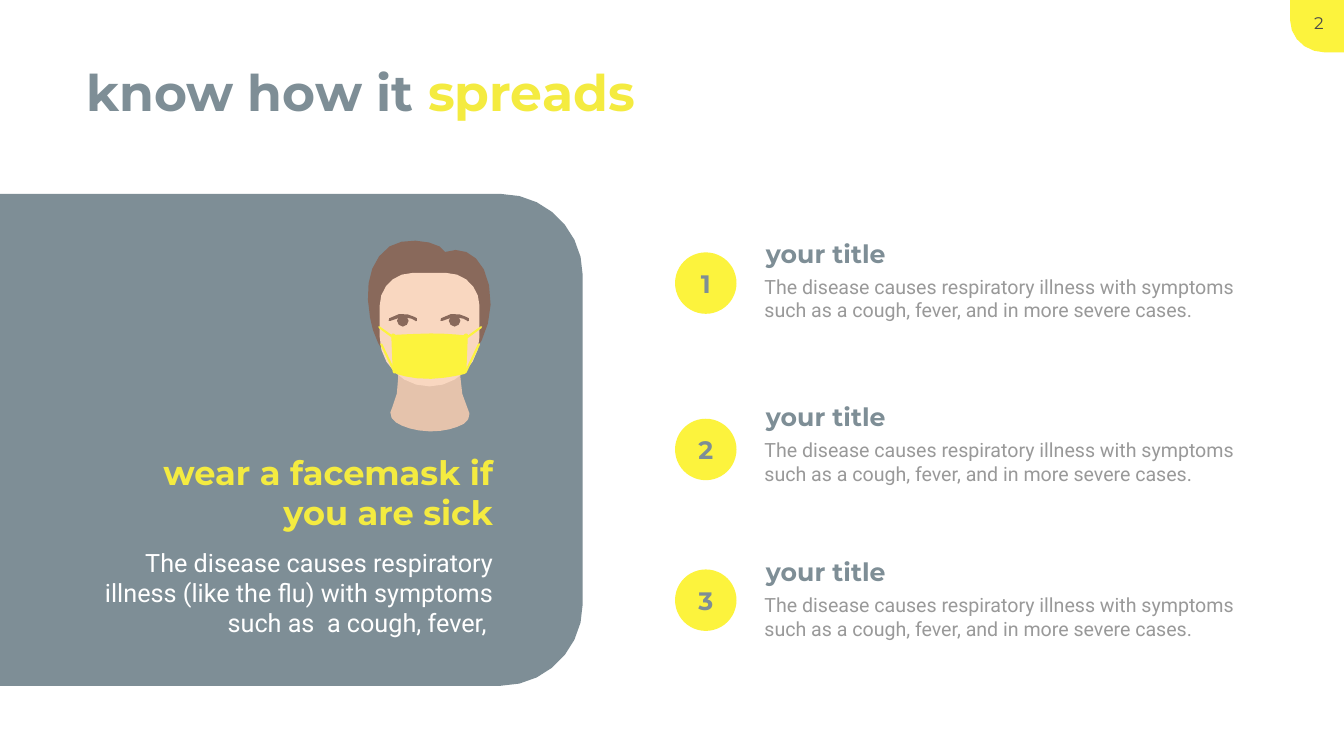
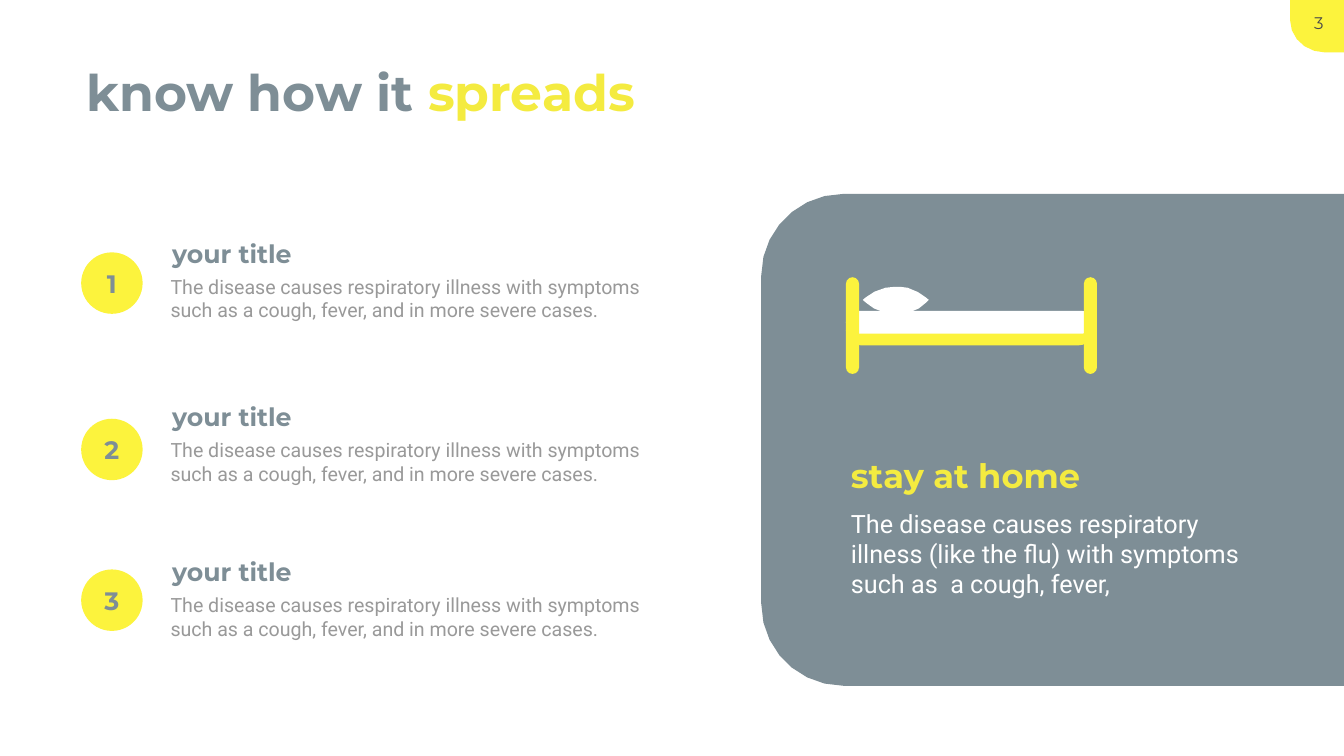
"""Build two slides on how a disease spreads, each with a rounded panel and a numbered list."""
from dataclasses import dataclass
from math import dist, sqrt

from pptx import Presentation
from pptx.dml.color import RGBColor
from pptx.enum.shapes import MSO_SHAPE
from pptx.enum.text import MSO_ANCHOR, MSO_AUTO_SIZE, PP_ALIGN
from pptx.util import Pt


@dataclass(frozen=True)
class Theme:
    yellow: str = "FCF33D"
    accent: str = "F4EB40"
    slate: str = "7E8E96"
    white: str = "FFFFFF"
    grey: str = "999999"
    dark: str = "494949"
    hair: str = "89695B"
    skin: str = "F9D7C0"
    neck: str = "E5C3AC"
    heading_font: str = "Montserrat"
    body_font: str = "Roboto"
    title_size: int = 72
    panel_size: int = 48
    text_size: int = 36
    item_size: int = 28
    number_size: int = 24


theme = Theme()


def write(page, frame, lines, size, colour, font=theme.heading_font, bold=True,
          align=PP_ALIGN.LEFT, oval=False):
    """Add a text box, or a filled oval holding text, and return it."""
    area = [Pt(length) for length in frame]
    if oval:
        box = page.shapes.add_shape(MSO_SHAPE.OVAL, *area)
        box.shadow.inherit = False
        box.fill.solid()
        box.fill.fore_color.rgb = RGBColor.from_string(theme.yellow)
        box.line.fill.background()
        box.text_frame.vertical_anchor = MSO_ANCHOR.MIDDLE
    else:
        box = page.shapes.add_textbox(*area)
        box.text_frame.auto_size = MSO_AUTO_SIZE.SHAPE_TO_FIT_TEXT
    box.text_frame.word_wrap = not oval
    for index, line in enumerate(lines):
        para = box.text_frame.add_paragraph() if index else box.text_frame.paragraphs[0]
        para.alignment = align
        para.font.size = Pt(size)
        para.font.name = font
        para.font.bold = bold
        para.font.color.rgb = RGBColor.from_string(colour)
        para.add_run().text = line
    return box


def draw(page, colour, origin, outline, flip=1):
    """Fill a closed outline whose segments are lines (2 numbers) or cubic curves (6)."""
    points = [outline[0]]
    for segment in outline[1:]:
        if len(segment) == 2:
            points.append(segment)
            continue
        start, first, second, end = points[-1], segment[:2], segment[2:4], segment[4:]
        length = dist(start, first) + dist(first, second) + dist(second, end)
        steps = max(1, round(sqrt(length) / 2))
        for step in range(1, steps + 1):
            t = step / steps
            weights = ((1 - t) ** 3, 3 * t * (1 - t) ** 2, 3 * t ** 2 * (1 - t), t ** 3)
            points.append(tuple(
                sum(weight * point[axis]
                    for weight, point in zip(weights, (start, first, second, end)))
                for axis in (0, 1)))
    placed = [(Pt(origin[0] + flip * x), Pt(origin[1] + y)) for x, y in points]
    builder = page.shapes.build_freeform(*placed[0])
    builder.add_line_segments(placed[1:], close=True)
    shape = builder.convert_to_shape()
    shape.shadow.inherit = False
    shape.fill.solid()
    shape.fill.fore_color.rgb = RGBColor.from_string(colour)
    shape.line.fill.background()


WIDTH, HEIGHT = 1919.52, 1080
ADVICE = "The disease causes respiratory illness (like the flu) with symptoms such as  a cough, fever,"
ITEM_TEXT = ("The disease causes respiratory illness with symptoms such as a cough, fever, "
             "and in more severe cases.")
TAB = [(-77, 0), (0, 0), (0, 75), (-26.6, 75), (-54.7, 75, -77, 54, -77, 28.8)]
PANEL = [(715, 0), (0, 0), (0, 702.7), (715, 702.7),
         (779.8, 702.7, 832.3, 650.2, 832.3, 585.4), (832.3, 116.6),
         (832.3, 52.6, 779.8, 0, 715, 0)]
ITEM_ROWS = [(336.2, 360.5), (569.5, 598.2), (791.3, 813.5)]

deck = Presentation()
deck.slide_width, deck.slide_height = Pt(WIDTH), Pt(HEIGHT)

layouts = [
    dict(number=2, panel_edge=0, flip=1, list_left=964.1, align=PP_ALIGN.RIGHT,
         heading=["wear a facemask if ", "you are sick"], advice=ADVICE + " ",
         heading_frame=(218.2, 641.5, 493.2, 123.8), advice_frame=(115.9, 778.3, 595.4, 138.2)),
    dict(number=3, panel_edge=WIDTH, flip=-1, list_left=115.9, align=PP_ALIGN.LEFT,
         heading=["stay at home"], advice=ADVICE,
         heading_frame=(1208.2, 646.9, 595.4, 65.5), advice_frame=(1208.2, 722.6, 595.4, 138.2)),
]

pages = []
for layout in layouts:
    page = deck.slides.add_slide(deck.slide_layouts[6])
    pages.append(page)
    draw(page, theme.yellow, (WIDTH, 0), TAB)
    number = write(page, (1853.3, 11.5, 74.2, 43.9), [str(layout["number"])],
                   theme.number_size, theme.dark, bold=False, align=PP_ALIGN.CENTER)
    number.text_frame.margin_left, number.text_frame.margin_right = Pt(14.4), Pt(28)
    number.text_frame.margin_top = number.text_frame.margin_bottom = Pt(7.2)

    title = write(page, (115.9, 84.2, 809.3, 94.3), ["know how it "],
                  theme.title_size, theme.slate)
    title.text_frame.word_wrap = False
    span = title.text_frame.paragraphs[0].add_run()
    span.text = "spreads"
    span.font.color.rgb = RGBColor.from_string(theme.accent)

    draw(page, theme.slate, (layout["panel_edge"], 277), PANEL, layout["flip"])
    write(page, layout["heading_frame"], layout["heading"], theme.panel_size, theme.accent,
          align=layout["align"])
    write(page, layout["advice_frame"], [layout["advice"]], theme.text_size, theme.white,
          theme.body_font, False, layout["align"])

    left = layout["list_left"]
    for position, (title_top, circle_top) in enumerate(ITEM_ROWS, 1):
        write(page, (left + 122.8, title_top, 385.2, 51.1), ["your title"],
              theme.text_size, theme.slate)
        write(page, (left + 120.6, title_top + 52.6, 719.3, 74.9), [ITEM_TEXT],
              theme.item_size, theme.grey, theme.body_font, False)
        write(page, (left, circle_top, 87.8, 87.8), [str(position)], theme.text_size,
              theme.slate, align=PP_ALIGN.CENTER, oval=True)

mask_page, bed_page = pages

NECK = [(-53.3, 246), (-40.3, 225, -46, 176, -46, 176), (44.6, 176),
        (44.6, 176, 40.3, 225.6, 54, 246.5), (59.8, 254.4, 57, 264.5, 49, 269.5),
        (36.7, 276, 21.6, 280.3, 0.7, 280.3), (-22.3, 279.6, -38.2, 273.8, -48.2, 267.3),
        (-56.2, 262.3, -58.3, 252.2, -53.3, 246)]
HAIR = [(-11.5, 201), (9.4, 201), (53.3, 201, 98, 137.7, 85, 71.5),
        (76.3, 27.6, 46.8, 14.6, 22.3, 24), (17.3, 9.6, -33, 0.2, -57, 16),
        (-86.4, 36.2, -93, 74.4, -85, 117.6), (-80, 150.7, -55.4, 201, -11.5, 201)]
FACE = [(-25, 54), (24.5, 54), (50.4, 54, 71.3, 75, 71.3, 101), (71.3, 145),
        (71.3, 184, 39, 216, 0, 216), (-39.6, 216, -71.3, 184, -71.3, 145),
        (-71.3, 101), (-71.3, 75, -51, 54, -25, 54)]
BROW = [(18.7, 0.7), (20.2, 0), (20.9, -2, 20.9, -3, 20.2, -3.6),
        (19.4, -3.6, 0, -18, -19.4, -3.6), (-20.2, -2.9, -20.2, -2, -20.2, 0),
        (-19.4, 0.7, -18, 0.7, -17.3, 0), (0, -13, 18, 0, 18, 0)]
PUPIL = [(-8.3, 0), (-8.3, 4, -4.3, 8.3, 0, 8.3), (4.3, 8.3, 8.3, 4, 8.3, 0),
         (8.3, -4, 4.3, -8.3, 0, -8.3), (-4.3, -8.3, -8.3, -4, -8.3, 0)]
UPPER_STRAP = [(46, 153.4), (74.2, 132.7), (75, 132, 75, 131, 75, 130.4),
               (74.2, 129.7, 73.4, 129.7, 72.7, 130.4), (44.6, 150.5),
               (44, 150.5, 44, 151.3, 44, 152.7)]
LOWER_STRAP = [(52.6, 196.8), (72, 156.5), (72.7, 155.7, 72.7, 154.3, 72, 154.3),
               (71.3, 153.6, 70.6, 154.3, 69, 155.7), (50.4, 194.6),
               (49.7, 196, 49.7, 196.8, 50.4, 196.8)]
MASK = [(-47.5, 198), (-47.5, 198, -27.4, 206, 2.2, 205.2), (26.6, 204.5, 51, 198, 51, 198),
        (52.6, 143.3), (52.6, 143.3, 28, 140.4, 2.2, 140.4),
        (-27.4, 141, -52.6, 142.6, -52.6, 142.6)]
MASK_EDGE = [(48.2, 197.5), (51, 197.5), (51.8, 196.8, 52.6, 196.8, 52.6, 195.4),
             (54.7, 142), (54.7, 141.4, 54, 140.6, 53.3, 140.6), (51, 140.6),
             (49.7, 140.6, 49, 141.4, 49, 142), (46.8, 196.8)]

head_x, head_y = 613.5, 336
for colour, outline in ((theme.neck, NECK), (theme.hair, HAIR), (theme.skin, FACE)):
    draw(mask_page, colour, (head_x, head_y), outline)
for eye_x in (35.8, -38.2):
    for outline in (BROW, PUPIL):
        draw(mask_page, theme.hair, (head_x + eye_x, head_y + 122.3), outline)
for side, side_x in ((1, head_x), (-1, head_x + 1.8)):
    for outline in (UPPER_STRAP, LOWER_STRAP):
        draw(mask_page, theme.yellow, (side_x, head_y), outline, side)
draw(mask_page, theme.yellow, (head_x, head_y), MASK)
for side in (1, -1):
    draw(mask_page, theme.yellow, (head_x, head_y), MASK_EDGE, side)

PILLOW = [(23, 16.6), (-19.4, 16.6), (-28.8, 16.6, -46.8, 0, -46.8, 0),
          (-46.8, 0, -30.2, -15, -14.4, -17.3), (-4.3, -18.7, 8, -19.4, 17.3, -17.3),
          (32.4, -13.7, 47.5, 0, 47.5, 0), (47.5, 0, 31.7, 16.6, 23, 16.6)]
bed_parts = [
    (theme.yellow, (1208.2, 450.7, 353.5, 42.6)),
    (theme.white, (1208.2, 444.2, 353.5, 32.4)),
    (theme.yellow, (1208.2, 396, 18.7, 138.2)),
    (theme.yellow, (1548, 396, 18.7, 138.2)),
]
for colour, frame in bed_parts:
    bar = bed_page.shapes.add_shape(MSO_SHAPE.ROUNDED_RECTANGLE, *[Pt(length) for length in frame])
    bar.adjustments[0] = 0.5
    bar.shadow.inherit = False
    bar.fill.solid()
    bar.fill.fore_color.rgb = RGBColor.from_string(colour)
    bar.line.fill.background()
draw(bed_page, theme.white, (1279, 428.4), PILLOW)

deck.save("out.pptx")
